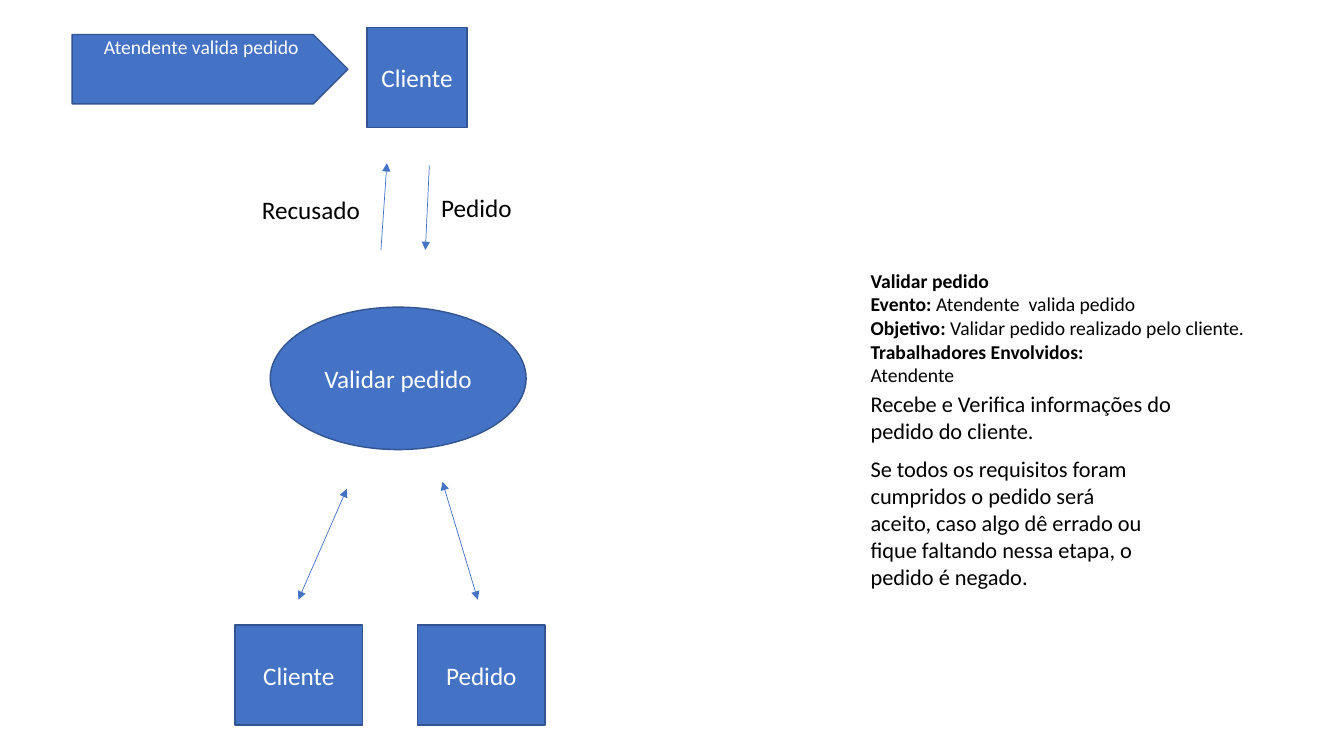
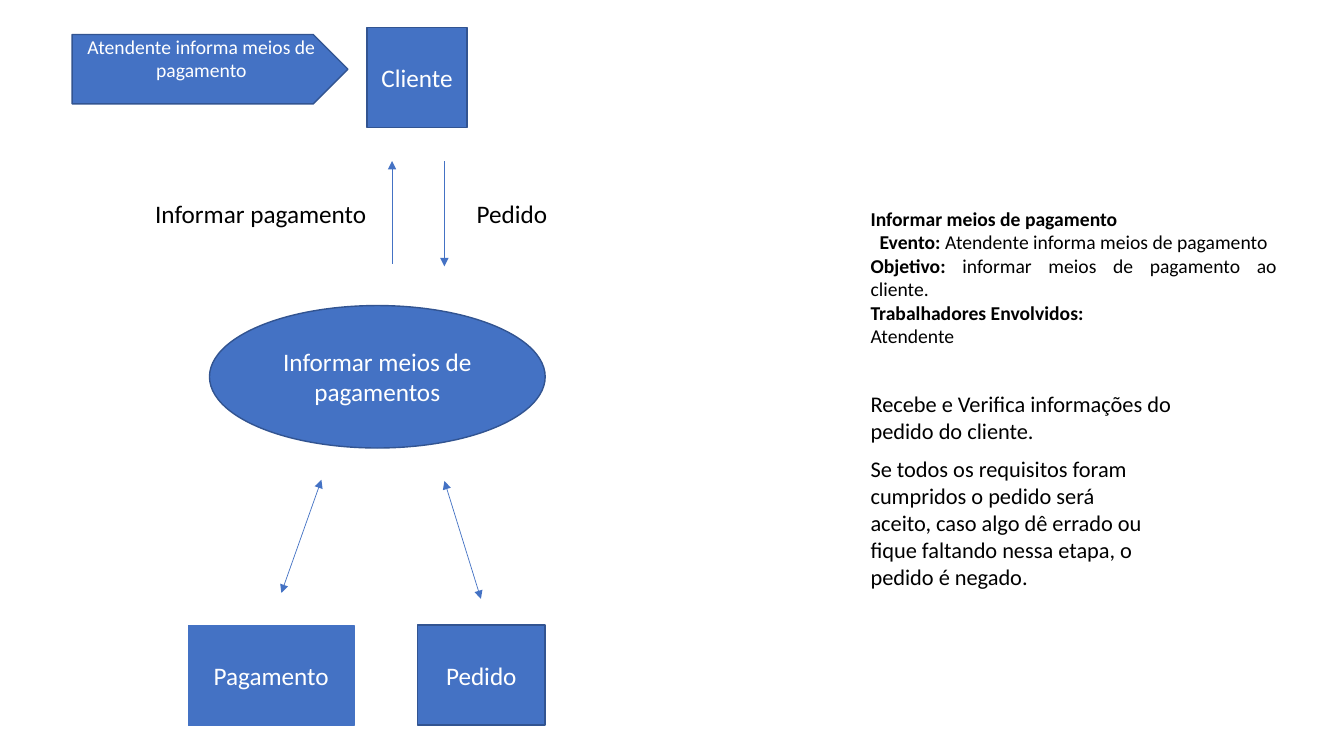
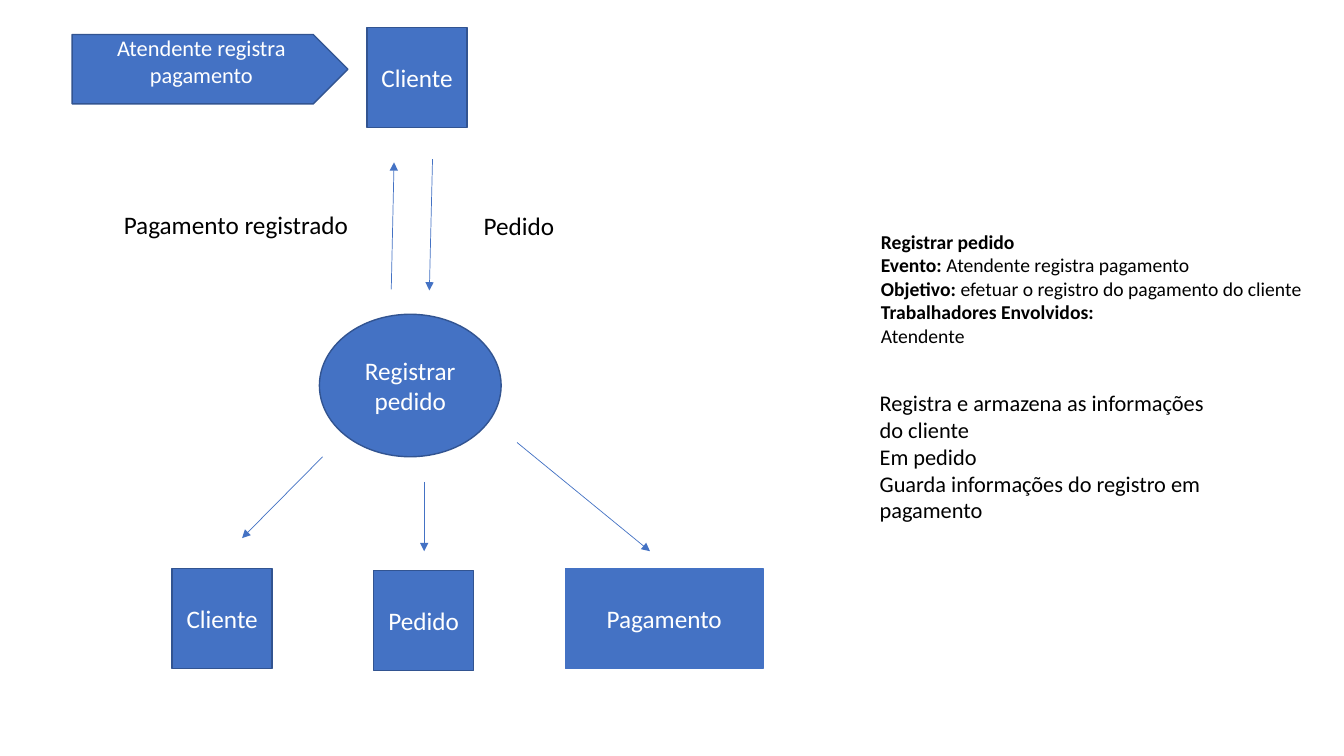
import pptx
import pptx.util
import pptx.dml.color
import pptx.enum.shapes
import pptx.enum.text
import pptx.oxml.ns
from lxml import etree

Cm, Pt = pptx.util.Cm, pptx.util.Pt
RGB = pptx.dml.color.RGBColor
SHAPE = pptx.enum.shapes.MSO_SHAPE
ANCHOR = pptx.enum.text.MSO_ANCHOR
ALIGN = pptx.enum.text.PP_ALIGN

BLUE = RGB(0x44, 0x72, 0xC4)
OUTLINE = RGB(0x32, 0x54, 0x91)
WHITE = RGB(0xFF, 0xFF, 0xFF)
BLACK = RGB(0, 0, 0)
FONT = "Calibri"

BOX = 2.52  # height of every box and side of the square ones
PROCESS_HEIGHT = 3.59
LABEL_HEIGHT = 1.02

CHECKS = [
    ((21.69, 9.7, 8.61, 1.63), ["Recebe e Verifica informações do pedido do cliente."]),
    ((21.69, 11.35, 7.62, 3.68),
     ["Se todos os requisitos foram cumpridos o pedido será aceito, caso algo dê errado "
      "ou fique faltando nessa etapa, o pedido é negado."]),
]

# boxes: text, left, top, width, outline; labels: text, left, top, width
# arrows: from, to, both ends; positions in centimetres
SLIDES = [
    dict(
        event="Atendente valida pedido", event_size=14,
        process=["Validar pedido"], process_at=(6.81, 7.74, 6.45),
        boxes=[("Cliente", 5.92, 15.75, 3.22, OUTLINE),
               ("Pedido", 10.52, 15.75, 3.22, OUTLINE)],
        labels=[("Recusado", 6.35, 4.78, 4.29), ("Pedido", 10.87, 4.72, 4.95)],
        arrows=[((10.82, 4.17), (10.72, 6.3), False), ((9.6, 6.3), (9.75, 4.11), False),
                ((11.15, 12.14), (12.04, 15.11), True), ((8.74, 12.32), (7.52, 15.11), True)],
        details_at=(21.69, 6.65, 10.06, 3.25),
        title="Validar pedido", detail_event="Atendente  valida pedido",
        goal="Validar pedido realizado pelo cliente.",
        event_align=ALIGN.JUSTIFY, notes=CHECKS),
    dict(
        event="Atendente informa meios de pagamento", event_size=14,
        process=["Informar meios de pagamentos"], process_at=(5.28, 7.7, 8.46),
        boxes=[("Pagamento", 4.75, 15.77, 4.17, BLUE),
               ("Pedido", 10.52, 15.75, 3.22, OUTLINE)],
        labels=[("Informar pagamento", 3.66, 4.88, 5.94), ("Pedido", 11.76, 4.88, 2.46)],
        arrows=[((11.2, 4.06), (11.2, 6.71), False), ((9.88, 6.65), (9.88, 4.06), False),
                ((11.2, 12.12), (12.12, 15.09), True), ((8.1, 12.09), (7.09, 14.94), True)],
        details_at=(21.69, 5.08, 10.74, 3.84),
        title="Informar meios de pagamento",
        detail_event="Atendente informa meios de pagamento",
        goal="informar meios de pagamento ao cliente.",
        event_align=ALIGN.CENTER, notes=CHECKS),
    dict(
        event="Atendente registra pagamento", event_size=16,
        process=["Registrar", "pedido"], process_at=(8.05, 7.92, 4.58),
        boxes=[("Cliente", 4.34, 14.33, BOX, OUTLINE),
               ("Pedido", 9.42, 14.38, BOX, OUTLINE),
               ("Pagamento", 14.25, 14.33, 4.98, BLUE)],
        labels=[("Pagamento registrado", 2.87, 5.16, 6.45), ("Pedido", 11.94, 5.18, 2.62)],
        arrows=[((9.86, 7.29), (9.93, 4.09), False), ((10.9, 4.01), (10.82, 7.32), False),
                ((10.69, 12.14), (10.69, 13.89), False), ((13.03, 11.15), (16.38, 13.89), False),
                ((8.13, 11.51), (6.1, 13.56), False)],
        details_at=(21.95, 5.66, 11.7, 3.25),
        title="Registrar pedido", detail_event="Atendente registra pagamento",
        goal="efetuar o registro do pagamento do cliente",
        event_align=ALIGN.JUSTIFY,
        notes=[((21.92, 9.68, 9, 3.68),
                ["Registra e armazena as informações do cliente", "Em pedido",
                 "Guarda informações do registro em pagamento"])]),
]


def write(tf, lines, size=18, color=BLACK, align=ALIGN.LEFT, anchor=ANCHOR.TOP):
    """Fill a frame; a line is plain text or a pair of bold and regular text."""
    tf.word_wrap = True
    tf.vertical_anchor = anchor
    for i, line in enumerate(lines):
        p = tf.paragraphs[0] if i == 0 else tf.add_paragraph()
        p.alignment = align
        bold_text, plain_text = ("", line) if isinstance(line, str) else line
        for text, bold in ((bold_text, True), (plain_text, False)):
            if text:
                r = p.add_run()
                r.text = text
                r.font.name, r.font.size, r.font.bold = FONT, Pt(size), bold
                r.font.color.rgb = color


def add_node(s, kind, at, lines, outline=OUTLINE, size=18, anchor=ANCHOR.MIDDLE):
    sp = s.shapes.add_shape(kind, *map(Cm, at))
    sp.shadow.inherit = False
    sp.fill.solid()
    sp.fill.fore_color.rgb = BLUE
    sp.line.color.rgb = outline
    sp.line.width = Pt(1)
    write(sp.text_frame, lines, size=size, color=WHITE, align=ALIGN.CENTER, anchor=anchor)
    return sp


def add_note(s, at, lines, **fmt):
    tf = s.shapes.add_textbox(*map(Cm, at)).text_frame
    write(tf, lines, **fmt)
    return tf


def add_arrow(s, start, end, both_ends):
    line = s.shapes.add_connector(pptx.enum.shapes.MSO_CONNECTOR.STRAIGHT,
                                  *map(Cm, start + end))
    line.line.color.rgb = BLUE
    line.line.width = Pt(0.5)
    qn = pptx.oxml.ns.qn
    ln = line.line._get_or_add_ln()
    for tag in ("a:headEnd", "a:tailEnd") if both_ends else ("a:tailEnd",):
        etree.SubElement(ln, qn(tag), type="triangle")
    etree.SubElement(line._element.spPr, qn("a:effectLst"))


def build_slide(prs, d):
    s = prs.slides.add_slide(prs.slide_layouts[6])
    add_node(s, SHAPE.RECTANGLE, (9.25, 0.7, BOX, BOX), ["Cliente"])
    event = add_node(s, SHAPE.PENTAGON, (1.82, 0.87, 6.95, 1.75), [d["event"]],
                     size=d["event_size"], anchor=ANCHOR.TOP)
    event.text_frame.margin_top = 0
    add_node(s, SHAPE.OVAL, d["process_at"] + (PROCESS_HEIGHT,), d["process"])
    for text, left, top, width, outline in d["boxes"]:
        add_node(s, SHAPE.RECTANGLE, (left, top, width, BOX), [text], outline=outline)
    for text, left, top, width in d["labels"]:
        add_note(s, (left, top, width, LABEL_HEIGHT), [text])
    for arrow in d["arrows"]:
        add_arrow(s, *arrow)

    details = [(d["title"], ""), ("Evento: ", d["detail_event"]),
               ("Objetivo: ", d["goal"]), ("Trabalhadores Envolvidos:", ""), "Atendente"]
    tf = add_note(s, d["details_at"], details, size=14, align=ALIGN.JUSTIFY)
    tf.paragraphs[1].alignment = d["event_align"]
    for at, lines in d["notes"]:
        add_note(s, at, lines, size=16)


def main():
    prs = pptx.Presentation()
    prs.slide_width, prs.slide_height = Cm(33.87), Cm(19.05)
    for d in SLIDES:
        build_slide(prs, d)
    prs.save("out.pptx")


if __name__ == "__main__":
    main()
